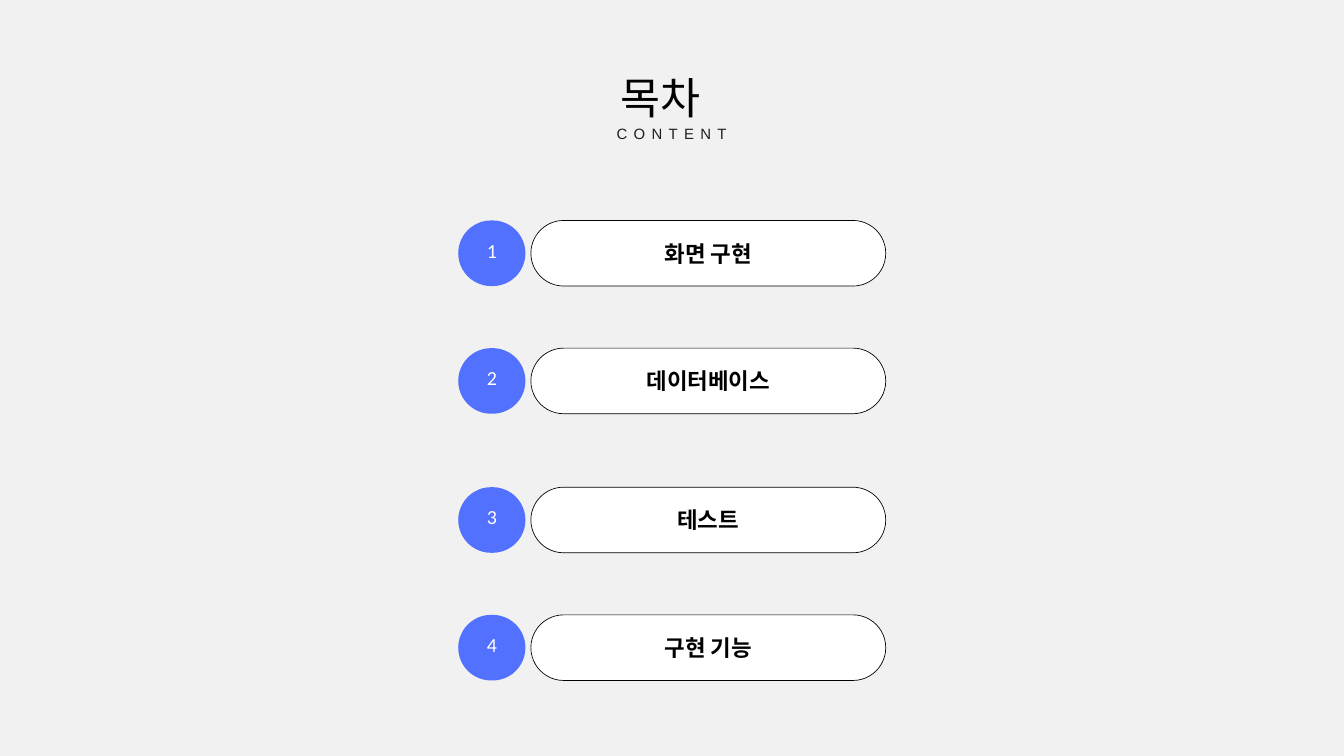
from pptx import Presentation
from pptx.dml.color import RGBColor
from pptx.enum.shapes import MSO_SHAPE
from pptx.enum.text import MSO_ANCHOR, MSO_AUTO_SIZE, PP_ALIGN
from pptx.oxml.ns import qn
from pptx.util import Pt
from lxml.etree import SubElement

HEADING = "목차"
SUBHEADING = "CONTENT"
# Label and top edge of each row
CHAPTERS = [
    ("화면 구현", 236.2),
    ("데이터베이스", 373),
    ("테스트", 522),
    ("구현 기능", 658.8),
]
COLORS = {
    "background": "F1F1F1",
    "black": "000000",
    "ink": "211F1C",
    "white": "FFFFFF",
    "blue": "5271FF",
}
KOREAN = "Noto Sans CJK KR"
ROW_HEIGHT = 70.3
BADGE_LEFT, BADGE_WIDTH = 491, 72
PILL_LEFT, PILL_WIDTH = 568.8, 380.2
NUMBER_LIFT = 6.1


def color(name):
    return RGBColor.from_string(COLORS[name])


def write(shape, text, font, size, ink, align=PP_ALIGN.CENTER,
          anchor=MSO_ANCHOR.MIDDLE, bold=False, line=None, tracking=None, inset=0):
    frame = shape.text_frame
    frame.word_wrap = True
    frame.auto_size = MSO_AUTO_SIZE.NONE
    frame.vertical_anchor = anchor
    frame.margin_left = frame.margin_right = Pt(inset)
    frame.margin_top = frame.margin_bottom = Pt(inset)
    paragraph = frame.paragraphs[0]
    paragraph.text = text
    paragraph.alignment = align
    if line:
        paragraph.line_spacing = Pt(line)
    style = paragraph.font
    style.name, style.size, style.bold = font, Pt(size), bold
    style.color.rgb = color(ink)
    properties = paragraph._p.pPr.find(qn("a:defRPr"))
    SubElement(properties, qn("a:ea")).set("typeface", font)
    if tracking:
        properties.set("spc", str(round(tracking * 100)))


def add_capsule(slide, left, top, width, fill, outline=None):
    capsule = slide.shapes.add_shape(
        MSO_SHAPE.ROUNDED_RECTANGLE, Pt(left), Pt(top), Pt(width), Pt(ROW_HEIGHT))
    capsule.adjustments[0] = 0.5
    capsule.shadow.inherit = False
    capsule.fill.solid()
    capsule.fill.fore_color.rgb = color(fill)
    if outline:
        capsule.line.color.rgb = color(outline)
        capsule.line.width = Pt(0.75)
    else:
        capsule.line.fill.background()
    return capsule


def main():
    deck = Presentation()
    deck.slide_width, deck.slide_height = Pt(1440), Pt(810)
    slide = deck.slides.add_slide(deck.slide_layouts[5])
    slide.background.fill.solid()
    slide.background.fill.fore_color.rgb = color("background")

    # Heading
    heading = slide.shapes.title
    heading.left, heading.top = Pt(665.3), Pt(63.4)
    heading.width, heading.height = Pt(110.2), Pt(66.2)
    write(heading, HEADING, KOREAN, 46.6, "black", align=PP_ALIGN.LEFT,
          anchor=MSO_ANCHOR.TOP, line=68.5)
    subheading = slide.shapes.add_textbox(Pt(561.6), Pt(129.6), Pt(316), Pt(23))
    write(subheading, SUBHEADING, "Arial", 16, "ink", anchor=MSO_ANCHOR.TOP,
          line=23.5, tracking=6.8)

    # Numbered chapters
    for number, (label, top) in enumerate(CHAPTERS, start=1):
        pill = add_capsule(slide, PILL_LEFT, top, PILL_WIDTH, "white", "black")
        write(pill, label, KOREAN, 24, "black", bold=True, inset=3.6)
        badge = add_capsule(slide, BADGE_LEFT, top, BADGE_WIDTH, "blue")
        write(badge, str(number), "Calibri", 21.4, "white", line=31.4, tracking=3.1)
        badge.text_frame.margin_bottom = Pt(2 * NUMBER_LIFT)

    deck.save("out.pptx")


if __name__ == "__main__":
    main()
